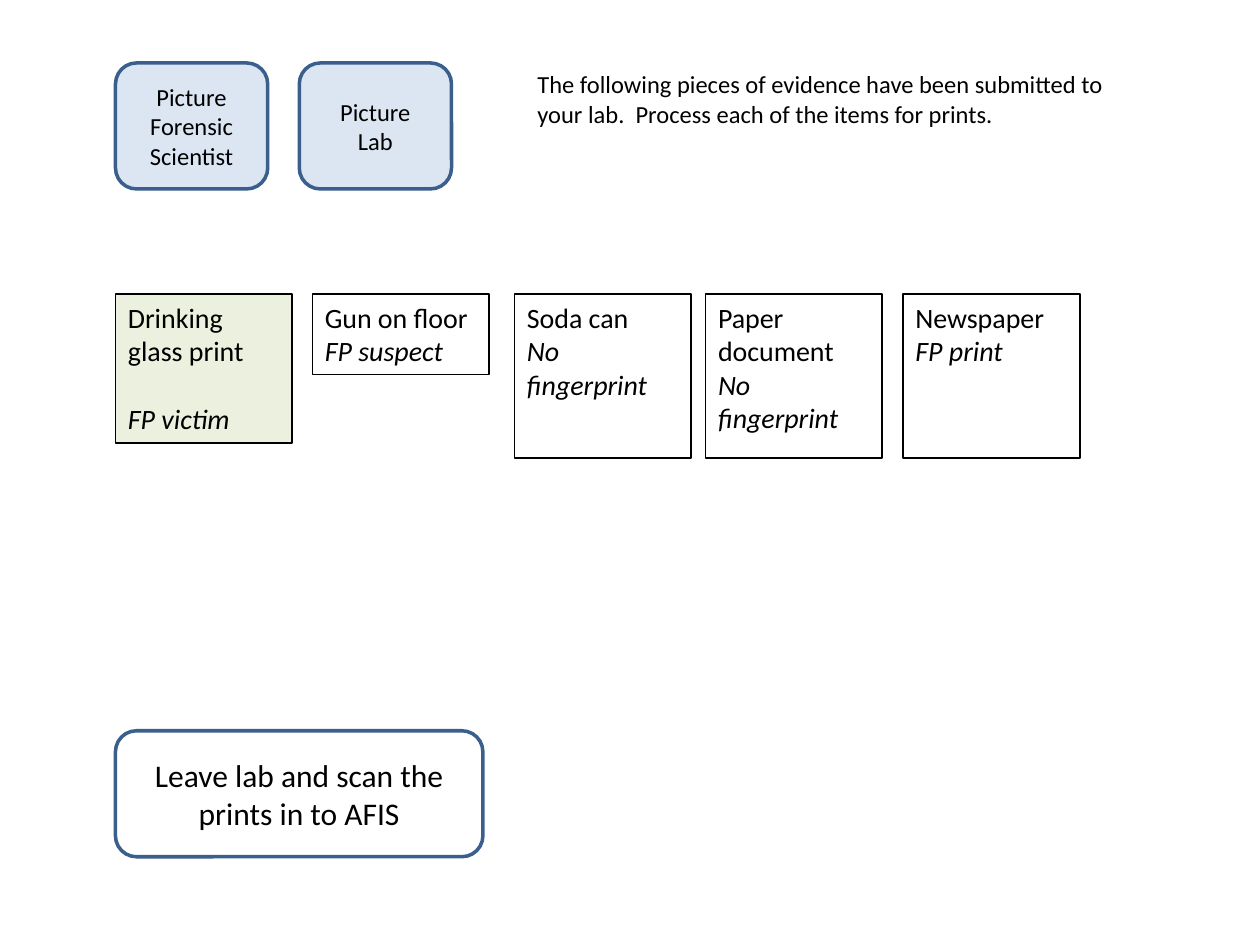
from pptx import Presentation
from pptx.dml.color import RGBColor
from pptx.enum import shapes, text
from pptx.util import Pt

BLACK = RGBColor(0x00, 0x00, 0x00)
BLUE = RGBColor(0x3A, 0x5F, 0x8C)
PALE_BLUE = RGBColor(0xDC, 0xE6, 0xF2)
PALE_GREEN = RGBColor(0xEB, 0xF1, 0xDE)
RECT = shapes.MSO_SHAPE.RECTANGLE
ROUND = shapes.MSO_SHAPE.ROUNDED_RECTANGLE
LEFT = 66
TOP = 36


def write(sp, lines, size, align, anchor):
    tf = sp.text_frame
    tf.word_wrap = True
    tf.vertical_anchor = anchor
    tf.text = "\n".join(lines)
    for p in tf.paragraphs:
        p.alignment = align
        for r in p.runs:
            r.font.name = "Calibri"
            r.font.size = Pt(size)
            r.font.color.rgb = BLACK


def add_box(kind, x, y, w, h, fill, line, weight):
    sp = s.shapes.add_shape(kind, Pt(x), Pt(y), Pt(w), Pt(h))
    sp.shadow.inherit = False
    if fill is None:
        sp.fill.background()
    else:
        sp.fill.solid()
        sp.fill.fore_color.rgb = fill
    sp.line.color.rgb = line
    sp.line.width = Pt(weight)
    return sp


prs = Presentation()
prs.slide_width = Pt(720)
prs.slide_height = Pt(540)
s = prs.slides.add_slide(prs.slide_layouts[6])

evidence = [
    (LEFT, 85, PALE_GREEN, "Drinking glass print", "FP victim", 19.5),
    (178.5, 46, None, "Gun on floor", "FP suspect", 0),
    (294, 93.6, None, "Soda can", "No fingerprint", 0),
    (403.2, 93.6, None, "Paper document", "No fingerprint", 0),
    (516, 93.6, None, "Newspaper", "FP print", 0),
]
for x, h, fill, item, finding, gap in evidence:
    sp = add_box(RECT, x, 168, 101, h, fill, BLACK, 1)
    write(sp, [item, finding], 16, text.PP_ALIGN.LEFT, text.MSO_ANCHOR.TOP)
    p = sp.text_frame.paragraphs[1]
    p.space_before = Pt(gap)
    p.runs[0].font.italic = True

rounded = [
    (LEFT, TOP, 87, PALE_BLUE, 14, ["Picture", "Forensic Scientist"]),
    (171, TOP, 87, PALE_BLUE, 14, ["Picture", "Lab"]),
    (LEFT, 417.6, 210, None, 18, ["Leave lab and scan the prints in to AFIS"]),
]
for x, y, w, fill, size, lines in rounded:
    sp = add_box(ROUND, x, y, w, 72, fill, BLUE, 2)
    write(sp, lines, size, text.PP_ALIGN.CENTER, text.MSO_ANCHOR.MIDDLE)

sp = s.shapes.add_textbox(Pt(300), Pt(TOP), Pt(348), Pt(41))
write(
    sp,
    ["The following pieces of evidence have been submitted to your lab.  "
     "Process each of the items for prints."],
    14, text.PP_ALIGN.LEFT, text.MSO_ANCHOR.TOP,
)

prs.save("out.pptx")
